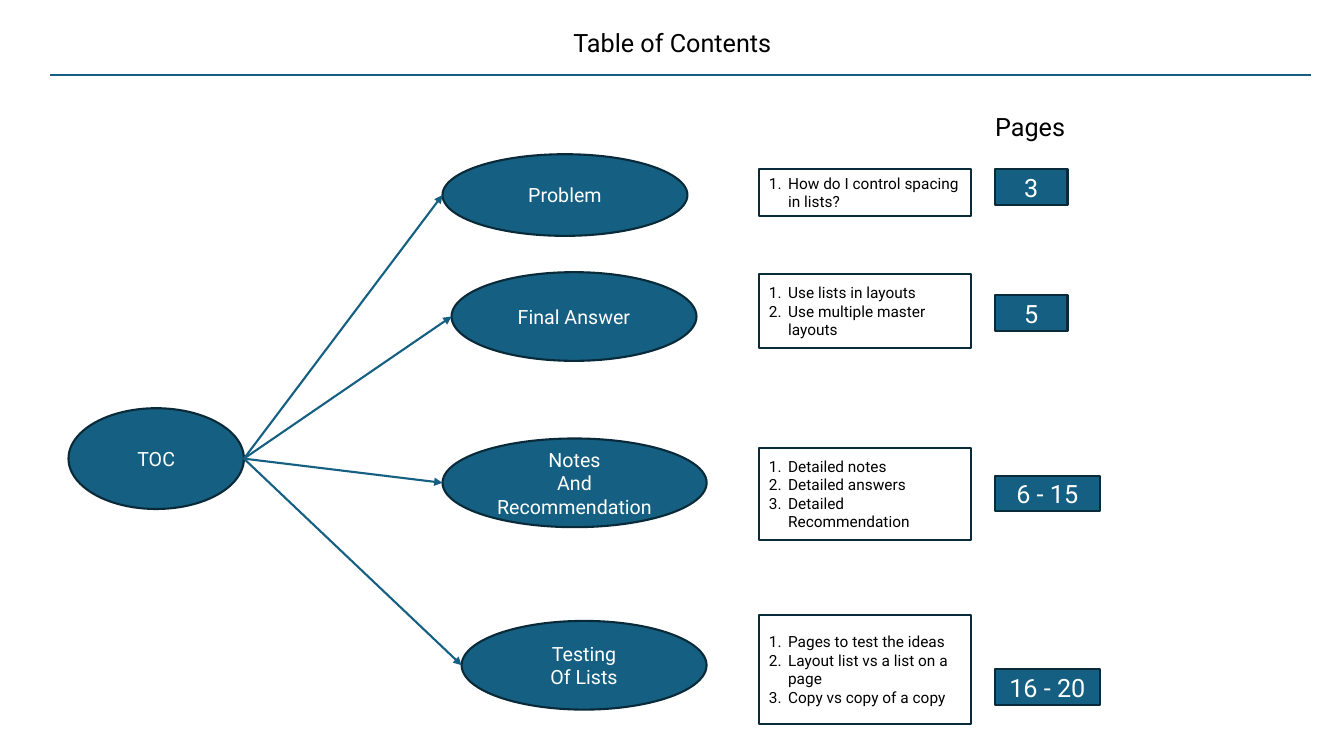
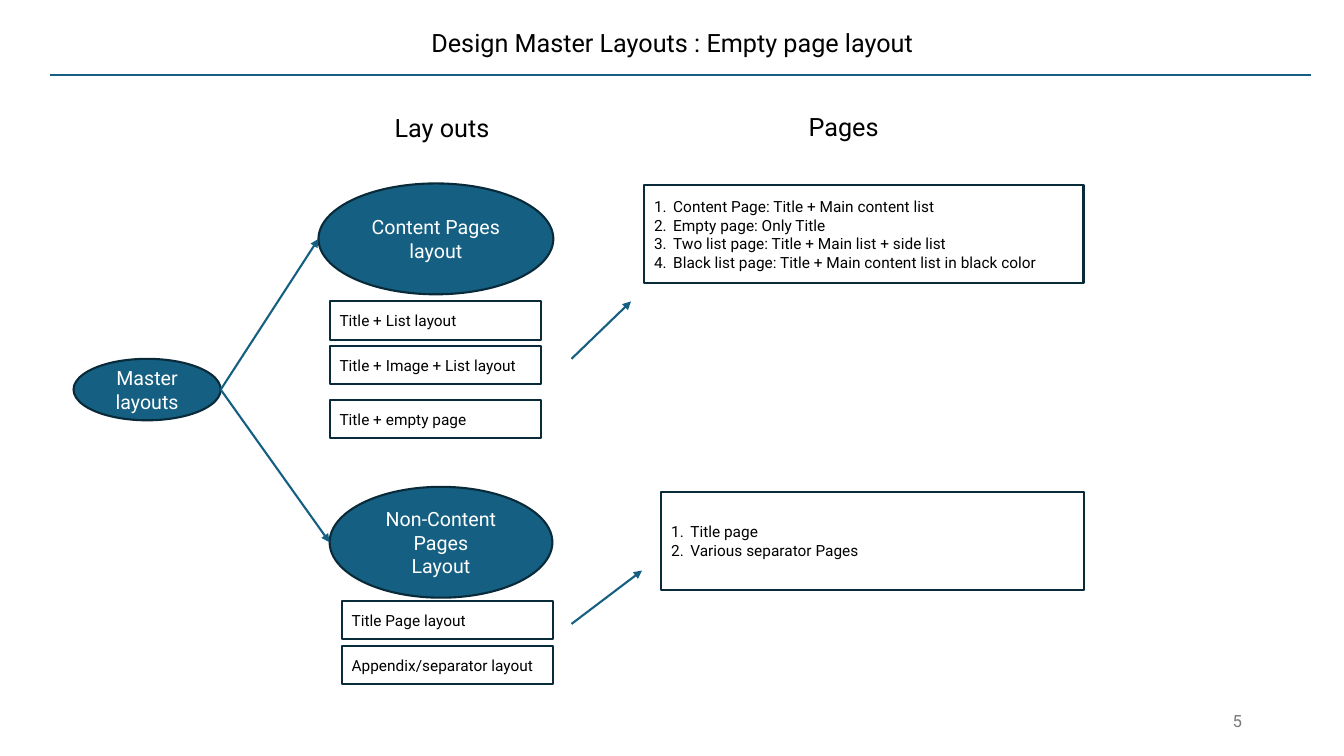
from lxml.etree import SubElement
from pptx import Presentation
from pptx.dml.color import RGBColor
from pptx.enum.shapes import MSO_CONNECTOR, MSO_SHAPE
from pptx.enum.text import MSO_ANCHOR, MSO_AUTO_SIZE, PP_ALIGN
from pptx.oxml.ns import qn
from pptx.util import Inches, Pt

COLORS = {
    "accent": "156082",
    "outline": "092A39",
    "text": "000000",
    "inverse": "FFFFFF",
    "muted": "797979",
}
FONT = "Roboto"
COLUMNS, ROWS = 133.33, 75
CELL = Inches(0.1)
LINE_WIDTH = Pt(1.5)
HANGING = Inches(0.19)


def color(name):
    return RGBColor.from_string(COLORS[name])


def cells(*lengths):
    return [round(length * CELL) for length in lengths]


def write_text(frame, lines, size=11, ink="text", align=PP_ALIGN.LEFT,
               numbered=False, spacing=None):
    frame.word_wrap = True
    frame.auto_size = MSO_AUTO_SIZE.NONE
    frame.vertical_anchor = MSO_ANCHOR.MIDDLE
    for index, line in enumerate(lines):
        para = frame.add_paragraph() if index else frame.paragraphs[0]
        para.alignment = align
        if spacing:
            para.line_spacing = spacing
        if numbered:
            properties = para._p.get_or_add_pPr()
            properties.set("marL", str(HANGING))
            properties.set("indent", str(-HANGING))
            SubElement(properties, qn("a:buAutoNum"), type="arabicPeriod")
        span = para.add_run()
        span.text = line
        span.font.name = FONT
        span.font.size = Pt(size)
        span.font.color.rgb = color(ink)


class Slides:
    def __init__(self):
        self.deck = Presentation()
        self.deck.slide_width, self.deck.slide_height = cells(COLUMNS, ROWS)
        self.page = None

    def add_page(self, title):
        self.page = self.deck.slides.add_slide(self.deck.slide_layouts[5])
        box = self.page.shapes.title
        box.left, box.top, box.width, box.height = cells(9.2, 2.1, 115, 4.6)
        write_text(box.text_frame, [title], size=18, align=PP_ALIGN.CENTER, spacing=0.9)
        self.line((5, 7.4), (130.1, 7.4))

    def line(self, start, end, arrow=False):
        connector = self.page.shapes.add_connector(
            MSO_CONNECTOR.STRAIGHT, *cells(*start, *end))
        connector.line.color.rgb = color("accent")
        connector.line.width = LINE_WIDTH
        if arrow:
            SubElement(connector.line._get_or_add_ln(), qn("a:tailEnd"), type="triangle")
        SubElement(connector._element.spPr, qn("a:effectLst"))

    def shape(self, kind, place, lines, filled=True, **text_format):
        box = self.page.shapes.add_shape(kind, *cells(*place))
        box.shadow.inherit = False
        if filled:
            box.fill.solid()
            box.fill.fore_color.rgb = color("accent")
        else:
            box.fill.background()
        box.line.color.rgb = color("outline")
        box.line.width = LINE_WIDTH
        write_text(box.text_frame, lines, **text_format)

    def bubble(self, place, *lines):
        self.shape(MSO_SHAPE.OVAL, place, lines, size=14, ink="inverse",
                   align=PP_ALIGN.CENTER)

    def badge(self, place, label):
        self.shape(MSO_SHAPE.RECTANGLE, place, [label], size=18, ink="inverse",
                   align=PP_ALIGN.CENTER)

    def panel(self, place, *lines, numbered=True):
        self.shape(MSO_SHAPE.RECTANGLE, place, lines, filled=False, numbered=numbered)

    def label(self, place, text, size=18, ink="text", align=PP_ALIGN.CENTER):
        box = self.page.shapes.add_textbox(*cells(*place))
        write_text(box.text_frame, [text], size=size, ink=ink, align=align)

    def branch(self, root, root_text, children):
        left, top, width, height = root
        self.bubble(root, root_text)
        for place, lines in children:
            self.bubble(place, *lines)
            self.line((left + width, top + height / 2),
                      (place[0], place[1] + place[3] / 2), arrow=True)

    def save(self):
        self.deck.save("out.pptx")


def add_contents(slides):
    slides.add_page("Table of Contents")
    slides.branch((6.8, 40.5, 17.4, 10), "TOC", [
        ((43.9, 15.3, 24.3, 8.1), ["Problem"]),
        ((44.8, 27, 24.3, 8.8), ["Final Answer"]),
        ((43.9, 43.5, 26.2, 8.8), ["Notes", "And", "Recommendation"]),
        ((45.8, 61.6, 24.3, 8.8), ["Testing", "Of Lists"]),
    ])
    slides.label((95.7, 10.8, 13, 3.5), "Pages")
    sections = [
        (16.8, 4.6, ["How do I control spacing in lists?"], 16.8, 7.2, "3"),
        (27.2, 7.3, ["Use lists in layouts", "Use multiple master layouts"],
         29.3, 7.2, "5"),
        (44.4, 9.2, ["Detailed notes", "Detailed answers", "Detailed Recommendation"],
         47.2, 10.4, "6 - 15"),
        (61, 10.8, ["Pages to test the ideas", "Layout list vs a list on a page",
                    "Copy vs copy of a copy"], 66.4, 10.4, "16 - 20"),
    ]
    for top, height, lines, badge_top, badge_width, pages in sections:
        slides.panel((75.3, top, 21, height), *lines)
        slides.badge((98.7, badge_top, badge_width, 3.5), pages)


def add_layouts(slides):
    slides.add_page("Design Master Layouts : Empty page layout")
    slides.label((32.2, 10.9, 23.3, 3.5), "Lay outs")
    slides.label((73.2, 10.8, 21, 3.5), "Pages")
    slides.branch((7.3, 35.6, 14.6, 6.1), "Master layouts", [
        ((31.6, 18.2, 23.3, 11), ["Content Pages", "layout"]),
        ((32.7, 48.3, 22.1, 11), ["Non-Content Pages", "Layout"]),
    ])
    for left, top, name in [
        (32.7, 29.9, "Title + List layout"),
        (32.7, 34.3, "Title + Image + List layout"),
        (32.7, 39.7, "Title + empty page"),
        (33.9, 59.6, "Title Page layout"),
        (33.9, 64.1, "Appendix/separator layout"),
    ]:
        slides.panel((left, top, 21, 3.8), name, numbered=False)
    slides.panel((63.9, 18.4, 43.6, 9.7),
                 "Content Page: Title + Main content list",
                 "Empty page: Only Title",
                 "Two list page: Title + Main list + side list",
                 "Black list page: Title + Main content list in black color")
    slides.panel((65.6, 48.8, 41.9, 9.7), "Title page", "Various separator Pages")
    slides.line((56.7, 35.6), (62.6, 29.9), arrow=True)
    slides.line((56.7, 61.9), (63.7, 56.6), arrow=True)
    slides.label((94.2, 69.5, 30, 4), "5", size=12, ink="muted", align=PP_ALIGN.RIGHT)


def main():
    slides = Slides()
    add_contents(slides)
    add_layouts(slides)
    slides.save()


if __name__ == "__main__":
    main()
